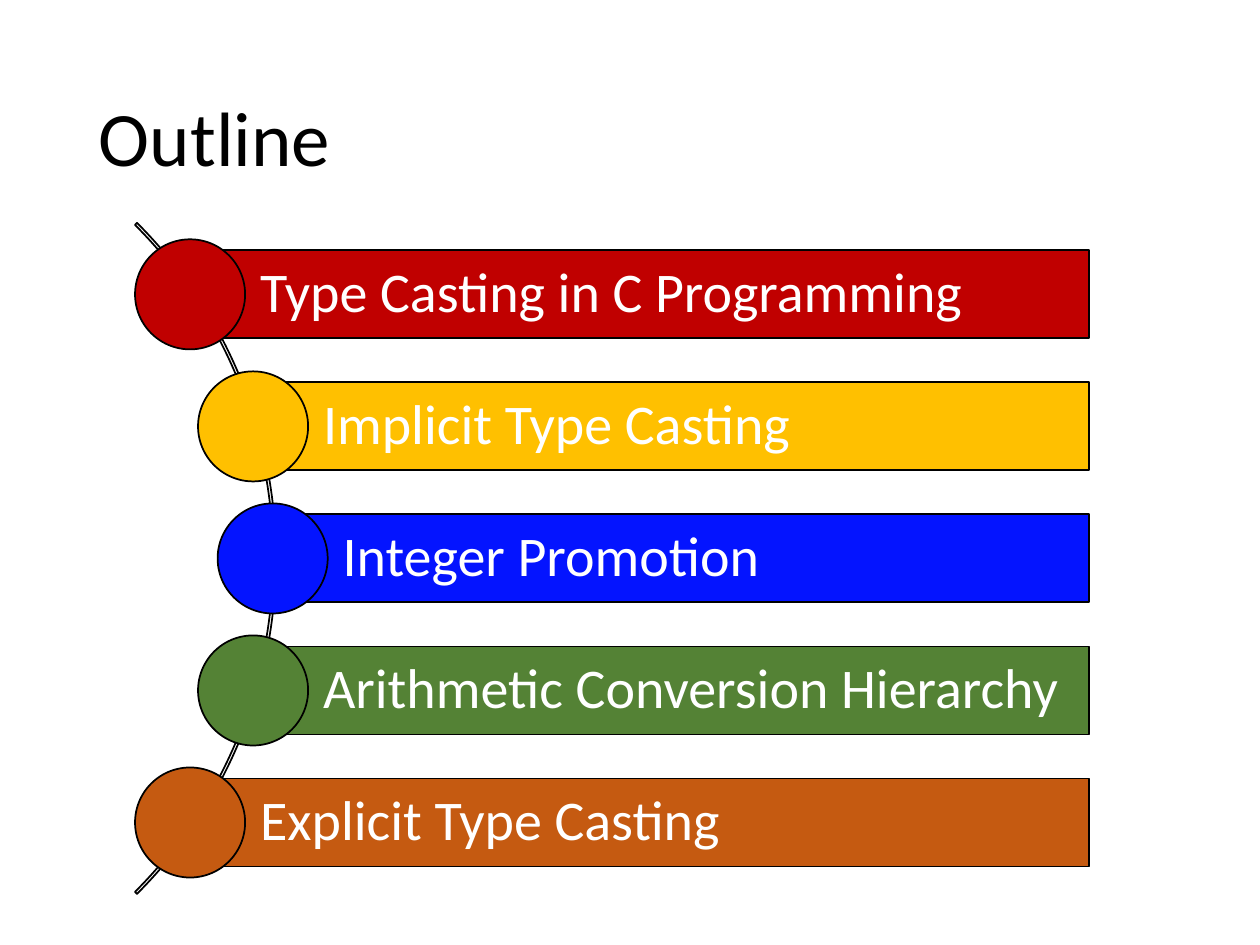
from pptx import Presentation
from pptx.dml.color import RGBColor
from pptx.enum.shapes import MSO_SHAPE
from pptx.enum.text import MSO_ANCHOR, PP_ALIGN
from pptx.util import Pt

FONT = "Calibri"
BLACK, WHITE = "000000", "FFFFFF"
MIDDLE_Y, PITCH = 319.1, 75.45
BAR_RIGHT, BAR_HEIGHT, DOT_SIZE = 622.2, 50.3, 62.9
TOPICS = [
    ("Type Casting in C Programming", "C00000", 108.6),
    ("Implicit Type Casting", "FFC000", 144.6),
    ("Integer Promotion", "0414FF", 155.8),
    ("Arithmetic Conversion Hierarchy", "548235", 144.6),
    ("Explicit Type Casting", "C55A11", 108.6),
]


def rgb(value):
    return RGBColor.from_string(value)


class OutlineSlide:
    """Draws styled elements on one slide, with lengths in points."""

    def __init__(self, slide):
        self.slide = slide

    def label(self, shape, text, size, color, insets):
        frame = shape.text_frame
        frame.word_wrap = True
        frame.vertical_anchor = MSO_ANCHOR.MIDDLE
        frame.margin_left, frame.margin_top, frame.margin_right, frame.margin_bottom = map(Pt, insets)
        paragraph = frame.paragraphs[0]
        paragraph.text = text
        paragraph.alignment = PP_ALIGN.LEFT
        paragraph.line_spacing = 0.9
        paragraph.font.name = FONT
        paragraph.font.size = Pt(size)
        paragraph.font.color.rgb = rgb(color)

    def title(self, text, left, top, width, height):
        heading = self.slide.shapes.add_textbox(Pt(left), Pt(top), Pt(width), Pt(height))
        self.label(heading, text, 44, BLACK, (7.2, 3.6, 7.2, 3.6))

    def outlined(self, preset, left, top, width, height, fill=None):
        shape = self.slide.shapes.add_shape(preset, Pt(left), Pt(top), Pt(width), Pt(height))
        shape.shadow.inherit = False
        if fill:
            shape.fill.solid()
            shape.fill.fore_color.rgb = rgb(fill)
        else:
            shape.fill.background()
        shape.line.color.rgb = rgb(BLACK)
        shape.line.width = Pt(1)
        return shape

    def arc(self, center_x, center_y, diameter):
        spine = self.outlined(MSO_SHAPE.BLOCK_ARC, center_x - diameter / 2,
                              center_y - diameter / 2, diameter, diameter)
        for index, value in enumerate((189, 27, 0.003)):
            spine.adjustments[index] = value

    def topic(self, text, color, center_x, center_y):
        bar = self.outlined(MSO_SHAPE.RECTANGLE, center_x, center_y - BAR_HEIGHT / 2,
                            BAR_RIGHT - center_x, BAR_HEIGHT, color)
        self.label(bar, text, 32, WHITE, (40, 6.4, 6.4, 6.4))
        self.outlined(MSO_SHAPE.OVAL, center_x - DOT_SIZE / 2, center_y - DOT_SIZE / 2,
                      DOT_SIZE, DOT_SIZE, color)


def main():
    deck = Presentation()
    deck.slide_width, deck.slide_height = Pt(720), Pt(540)
    outline = OutlineSlide(deck.slides.add_slide(deck.slide_layouts[6]))
    outline.title("Outline", 49.5, 28.8, 621, 104.4)
    outline.arc(-113.4, MIDDLE_Y, 542.2)
    for row, (text, color, center_x) in enumerate(TOPICS):
        outline.topic(text, color, center_x, MIDDLE_Y + (row - 2) * PITCH)
    deck.save("out.pptx")


if __name__ == "__main__":
    main()
